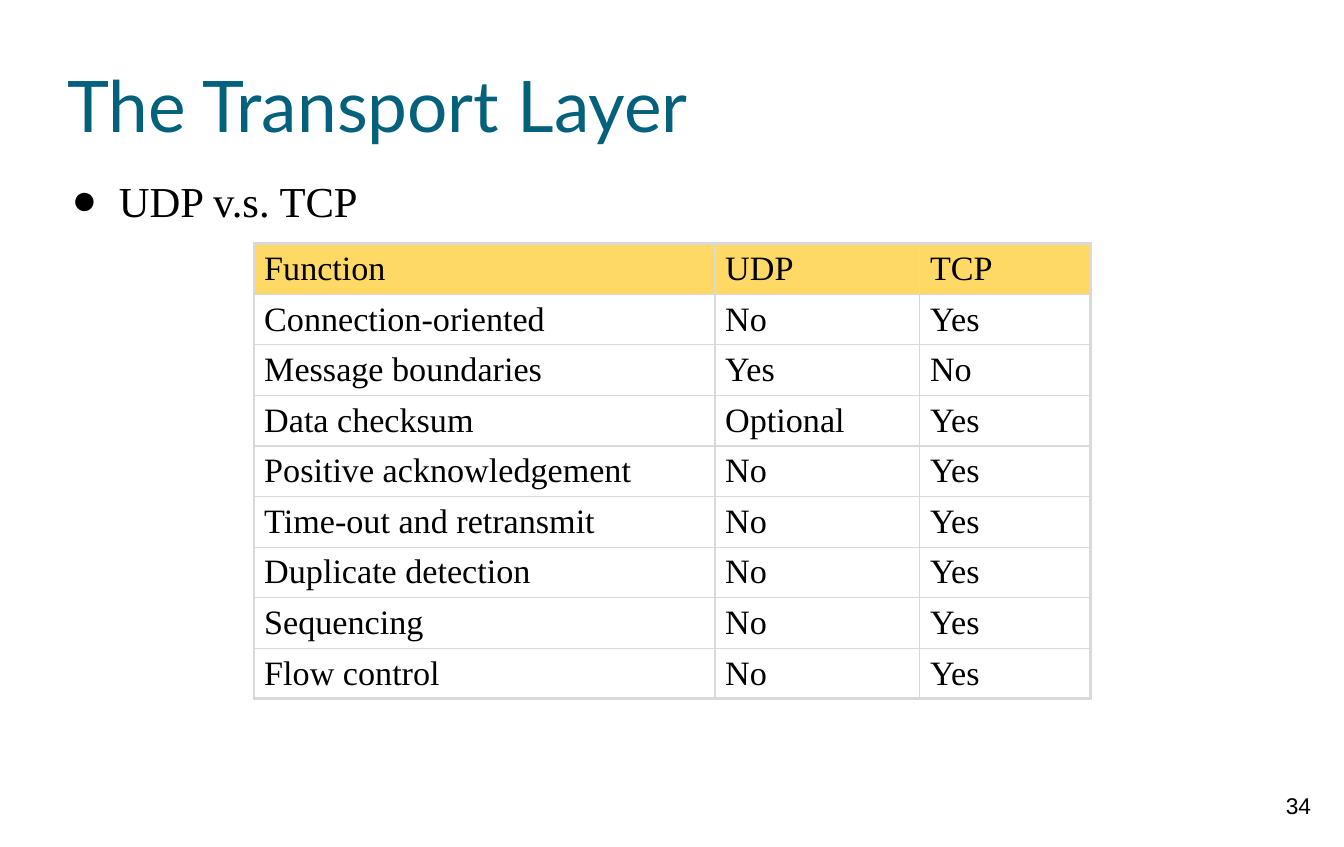
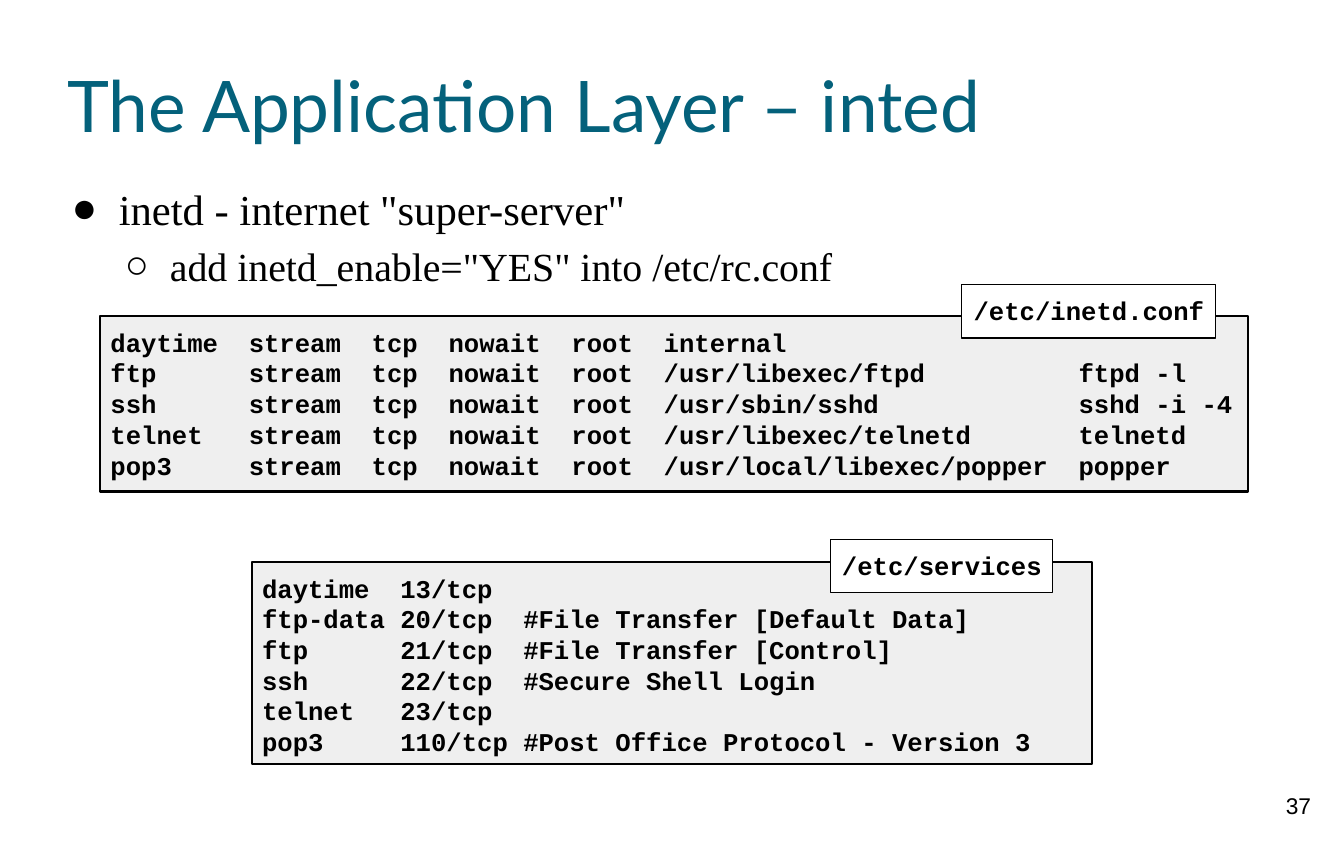
from dataclasses import dataclass

from lxml.etree import SubElement
from pptx import Presentation
from pptx.dml.color import RGBColor
from pptx.enum.shapes import MSO_SHAPE
from pptx.enum.text import MSO_ANCHOR, MSO_AUTO_SIZE, PP_ALIGN
from pptx.oxml import parse_xml
from pptx.oxml.ns import nsdecls, qn
from pptx.util import Inches, Pt


@dataclass(frozen=True)
class Theme:
    title: str = "04617B"
    ink: str = "000000"
    paper: str = "FFFFFF"
    header: str = "FFD966"
    rule: str = "D9D9D9"
    code_fill: str = "EFEFEF"
    title_font: str = "Lato"
    body_font: str = "Times New Roman"
    code_font: str = "Courier New"
    number_font: str = "Arial"
    title_size: int = 50
    bullet_sizes: tuple = (30, 28)
    table_size: int = 24
    code_size: int = 18
    number_size: int = 16


theme = Theme()
deck = Presentation()
deck.slide_width, deck.slide_height = Inches(13.12), Inches(8.27)


def share(left, top, width, height):
    across, down = deck.slide_width / 100, deck.slide_height / 100
    return [round(left * across), round(top * down), round(width * across), round(height * down)]


def write(frame, lines, font=theme.body_font, size=18, color=theme.ink, bold=False,
          align=PP_ALIGN.LEFT, anchor=MSO_ANCHOR.TOP, inset=0.1, bullets=()):
    frame.word_wrap = True
    frame.auto_size = MSO_AUTO_SIZE.NONE
    frame.vertical_anchor = anchor
    frame.margin_left = frame.margin_right = Inches(inset)
    frame.margin_top = frame.margin_bottom = Inches(inset)
    for index, line in enumerate(lines):
        paragraph = frame.paragraphs[0] if index == 0 else frame.add_paragraph()
        paragraph.alignment = align
        run = paragraph.add_run()
        run.text = line
        run.font.name, run.font.bold = font, bold
        run.font.size = Pt(size)
        run.font.color.rgb = RGBColor.from_string(color)
        if bullets:
            mark, indent, hanging = bullets[index]
            run.font.size = Pt(theme.bullet_sizes[index])
            paragraph.level = index
            paragraph.line_spacing = 1.15
            properties = paragraph._p.get_or_add_pPr()
            properties.set("marL", str(Inches(indent)))
            properties.set("indent", str(-Inches(hanging)))
            mark_color = SubElement(properties, qn("a:buClr"))
            SubElement(mark_color, qn("a:srgbClr"), val=theme.ink)
            SubElement(properties, qn("a:buFont"), typeface=theme.body_font)
            SubElement(properties, qn("a:buChar"), char=mark)


topics = [
    ("The Transport Layer", "34", 19.71, ["UDP v.s. TCP"]),
    ("The Application Layer – inted", "37", 20.68,
     ['inetd - internet "super-server"', 'add inetd_enable="YES" into /etc/rc.conf']),
]
for heading, page_number, bullets_top, points in topics:
    slide = deck.slides.add_slide(deck.slide_layouts[5])
    title = slide.shapes.title
    title.left, title.top, title.width, title.height = share(5.03, 3.99, 90.02, 16.69)
    write(title.text_frame, [heading], font=theme.title_font, size=theme.title_size,
          color=theme.title, anchor=MSO_ANCHOR.MIDDLE, inset=0)
    outline = slide.shapes.add_textbox(*share(5.03, bullets_top, 90.24, 74.85))
    write(outline.text_frame, points, inset=0, bullets=[("●", 0.5, 0.46), ("○", 1, 0.44)])
    footer = slide.shapes.add_textbox(*share(93.6, 92.26, 6.02, 7.62))
    write(footer.text_frame, [page_number], font=theme.number_font,
          size=theme.number_size, align=PP_ALIGN.CENTER)

transport, application = deck.slides

features = [
    ("Function", "UDP", "TCP"),
    ("Connection-oriented", "No", "Yes"),
    ("Message boundaries", "Yes", "No"),
    ("Data checksum", "Optional", "Yes"),
    ("Positive acknowledgement", "No", "Yes"),
    ("Time-out and retransmit", "No", "Yes"),
    ("Duplicate detection", "No", "Yes"),
    ("Sequencing", "No", "Yes"),
    ("Flow control", "No", "Yes"),
]
column_shares = [34.3, 15.24, 12.73]
last_row, last_column = len(features) - 1, len(column_shares) - 1
comparison = transport.shapes.add_table(
    len(features), len(column_shares),
    *share(18.9, 28.78, sum(column_shares), 5.97 * len(features))).table
comparison.first_row = comparison.horz_banding = False
for column, width in zip(comparison.columns, column_shares):
    column.width = round(deck.slide_width * width / 100)
for row_index, values in enumerate(features):
    for column_index, value in enumerate(values):
        cell = comparison.cell(row_index, column_index)
        write(cell.text_frame, [value], size=theme.table_size)
        cell.vertical_anchor = MSO_ANCHOR.MIDDLE
        cell.margin_left = cell.margin_right = Inches(0.1)
        cell.margin_top = cell.margin_bottom = Inches(0.05)
        cell.fill.solid()
        cell.fill.fore_color.rgb = RGBColor.from_string(theme.paper if row_index else theme.header)
        outer_edges = {"L": column_index == 0, "R": column_index == last_column,
                       "T": row_index == 0, "B": row_index == last_row}
        for position, (side, outer) in enumerate(outer_edges.items()):
            cell._tc.get_or_add_tcPr().insert(position, parse_xml(
                f'<a:ln{side} {nsdecls("a")} w="{Pt(2.25 if outer else 1)}"><a:solidFill>'
                f'<a:srgbClr val="{theme.rule}"/></a:solidFill></a:ln{side}>'))

inetd_lines = [
    "daytime  stream  tcp  nowait  root  internal",
    "ftp      stream  tcp  nowait  root  /usr/libexec/ftpd          ftpd -l",
    "ssh      stream  tcp  nowait  root  /usr/sbin/sshd             sshd -i -4",
    "telnet   stream  tcp  nowait  root  /usr/libexec/telnetd       telnetd",
    "pop3     stream  tcp  nowait  root  /usr/local/libexec/popper  popper",
]
services_lines = [
    "daytime  13/tcp",
    "ftp-data 20/tcp  #File Transfer [Default Data]",
    "ftp      21/tcp  #File Transfer [Control]",
    "ssh      22/tcp  #Secure Shell Login",
    "telnet   23/tcp",
    "pop3     110/tcp #Post Office Protocol - Version 3",
]
panels = [
    (inetd_lines, (7.47, 37.36, 85.37, 20.68), theme.code_fill, 1.5, PP_ALIGN.LEFT),
    (["/etc/inetd.conf"], (71.57, 33.62, 18.9, 6.29), theme.paper, 0.75, PP_ALIGN.CENTER),
    (services_lines, (18.75, 66.38, 62.5, 23.82), theme.code_fill, 1.5, PP_ALIGN.LEFT),
    (["/etc/services"], (61.81, 63.72, 16.54, 6.29), theme.paper, 0.75, PP_ALIGN.CENTER),
]
for lines, place, fill, border, align in panels:
    panel = application.shapes.add_shape(MSO_SHAPE.RECTANGLE, *share(*place))
    panel.shadow.inherit = False
    panel.fill.solid()
    panel.fill.fore_color.rgb = RGBColor.from_string(fill)
    panel.line.color.rgb = RGBColor.from_string(theme.ink)
    panel.line.width = Pt(border)
    write(panel.text_frame, lines, font=theme.code_font, size=theme.code_size,
          bold=True, align=align)

deck.save("out.pptx")
